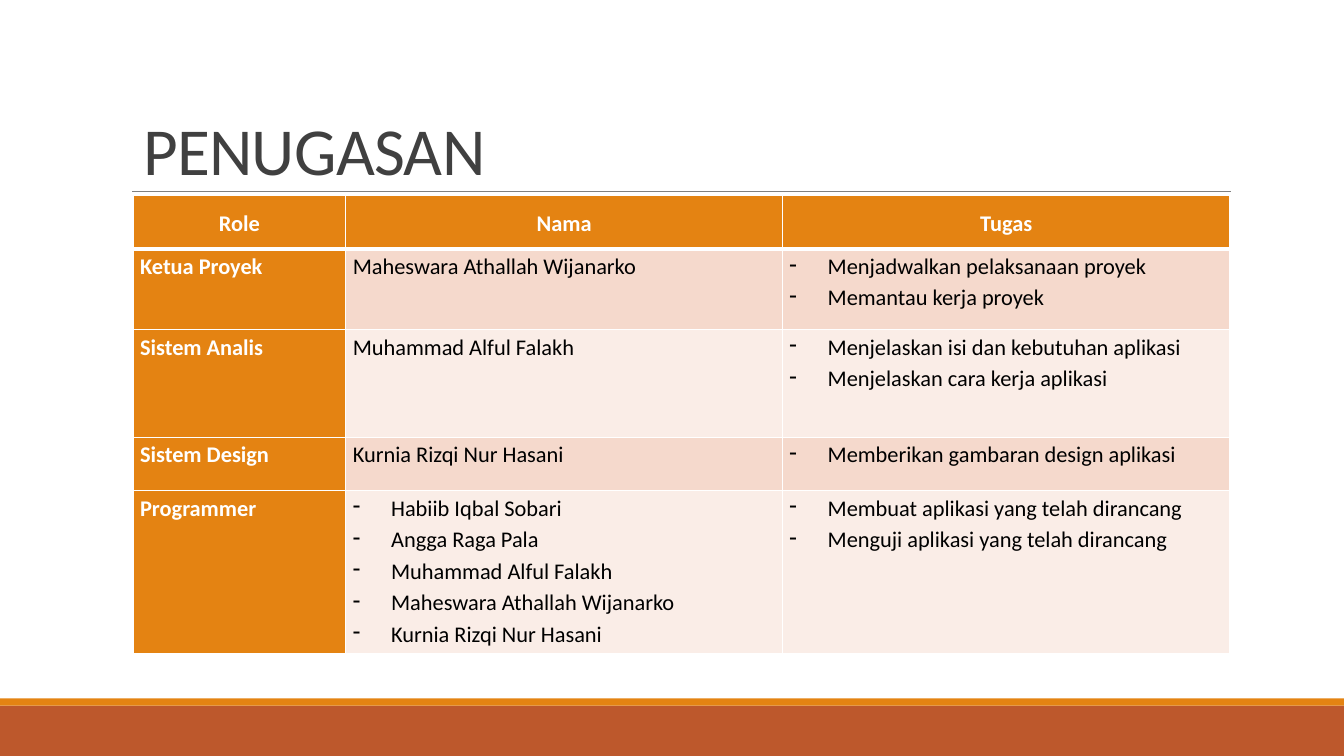
from dataclasses import dataclass

from lxml import etree
from pptx import Presentation
from pptx.dml.color import RGBColor
from pptx.enum.shapes import MSO_CONNECTOR, MSO_SHAPE
from pptx.enum.text import MSO_ANCHOR, MSO_AUTO_SIZE, PP_ALIGN
from pptx.oxml.ns import qn
from pptx.util import Inches, Pt

RECTANGLE = MSO_SHAPE.RECTANGLE
STRAIGHT = MSO_CONNECTOR.STRAIGHT
TOP, MIDDLE, BOTTOM = MSO_ANCHOR.TOP, MSO_ANCHOR.MIDDLE, MSO_ANCHOR.BOTTOM
LEFT, CENTER, JUSTIFY = PP_ALIGN.LEFT, PP_ALIGN.CENTER, PP_ALIGN.JUSTIFY
NO_AUTOFIT = MSO_AUTO_SIZE.NONE


@dataclass(frozen=True)
class Theme:
    font: str = "Calibri"
    title_size: int = 48
    table_size: int = 16
    title: str = "404040"
    rule: str = "808080"
    orange: str = "E48312"
    rust: str = "BD582C"
    white: str = "FFFFFF"
    black: str = "000000"
    bands: tuple = ("F5D9CC", "FAEDE7")


THEME = Theme()
SLIDE_WIDTH, SLIDE_HEIGHT = 13.33, 7.5
NAME_COLUMN = 1
COLUMN_WIDTHS = (2.11, 4.33, 4.44)
ROW_HEIGHTS = (0.53, 0.8, 1.07, 0.53, 1.61)
HEADINGS = ("Role", "Nama", "Tugas")
ASSIGNMENTS = (
    ("Ketua Proyek", "Maheswara Athallah Wijanarko",
     ["Menjadwalkan pelaksanaan proyek", "Memantau kerja proyek"]),
    ("Sistem Analis", "Muhammad Alful Falakh",
     ["Menjelaskan isi dan kebutuhan aplikasi", "Menjelaskan cara kerja aplikasi"]),
    ("Sistem Design", "Kurnia Rizqi Nur Hasani",
     ["Memberikan gambaran design aplikasi"]),
    ("Programmer",
     ["Habiib Iqbal Sobari", "Angga Raga Pala", "Muhammad Alful Falakh",
      "Maheswara Athallah Wijanarko", "Kurnia Rizqi Nur Hasani"],
     ["Membuat aplikasi yang telah dirancang", "Menguji aplikasi yang telah dirancang"]),
)


def rgb(value):
    return RGBColor.from_string(value)


def style_font(font, size, color, bold=False):
    font.name = THEME.font
    font.size = Pt(size)
    font.bold = bold
    font.color.rgb = rgb(color)


def add_band(slide, left, top, width, height, color):
    band = slide.shapes.add_shape(
        RECTANGLE, Inches(left), Inches(top), Inches(width), Inches(height))
    band.shadow.inherit = False
    band.fill.solid()
    band.fill.fore_color.rgb = rgb(color)
    band.line.fill.background()


def add_footer(slide, left, top, width, height):
    stripe = 0.07
    add_band(slide, left, top + stripe, width, height - stripe, THEME.rust)
    add_band(slide, left, top, width, stripe, THEME.orange)


def add_title(slide, left, top, width, height):
    rule_top = top + 0.87
    rule = slide.shapes.add_connector(
        STRAIGHT, Inches(left - 0.01), Inches(rule_top),
        Inches(left + width + 0.01), Inches(rule_top))
    rule.line.color.rgb = rgb(THEME.rule)
    rule.line.width = Pt(0.5)
    etree.SubElement(rule._element.spPr, qn("a:effectLst"))

    title = slide.shapes.title
    title.left, title.top = Inches(left), Inches(top)
    title.width, title.height = Inches(width), Inches(height)
    frame = title.text_frame
    frame.text = "PENUGASAN"
    frame.word_wrap = True
    frame.auto_size = NO_AUTOFIT
    frame.vertical_anchor = BOTTOM
    paragraph = frame.paragraphs[0]
    paragraph.alignment = LEFT
    paragraph.line_spacing = 0.85
    font = paragraph.runs[0].font
    style_font(font, THEME.title_size, THEME.title)
    font._element.set("spc", "-50")


def set_borders(cell, bottom_width):
    properties = cell._tc.get_or_add_tcPr()
    for side, width in (("L", 1), ("R", 1), ("T", 1), ("B", bottom_width)):
        border = etree.SubElement(properties, qn(f"a:ln{side}"), w=str(Pt(width)))
        fill = etree.SubElement(border, qn("a:solidFill"))
        etree.SubElement(fill, qn("a:srgbClr"), val=THEME.white)


def add_dash(paragraph):
    properties = paragraph._p.get_or_add_pPr()
    properties.set("marL", str(Inches(0.38)))
    properties.set("indent", str(Inches(-0.38)))
    etree.SubElement(properties, qn("a:buFontTx"))
    etree.SubElement(properties, qn("a:buChar"), char="-")


def fill_cell(cell, content, row, column):
    is_heading = row == 0
    is_accent = is_heading or column == 0
    is_list = isinstance(content, list)
    lines = content if is_list else [content]
    set_borders(cell, 3 if is_heading else 1)
    cell.fill.solid()
    cell.fill.fore_color.rgb = rgb(THEME.orange if is_accent else THEME.bands[(row - 1) % 2])
    cell.margin_left = cell.margin_right = Inches(0.07)
    cell.margin_top = cell.margin_bottom = 0
    cell.vertical_anchor = MIDDLE if is_heading else TOP

    cell.text_frame.text = "\n".join(lines)
    for number, paragraph in enumerate(cell.text_frame.paragraphs, 1):
        closes_cell = number == len(lines) and not (is_list and column == NAME_COLUMN)
        paragraph.alignment = CENTER if is_heading else JUSTIFY
        paragraph.line_spacing = 1.15
        paragraph.space_after = Pt(8 if closes_cell else 0)
        if is_list:
            add_dash(paragraph)
        style_font(paragraph.runs[0].font, THEME.table_size,
                   THEME.white if is_accent else THEME.black, is_accent)


def add_assignment_table(slide, left, top, width, height):
    rows = (HEADINGS, *ASSIGNMENTS)
    table = slide.shapes.add_table(
        len(rows), len(HEADINGS), Inches(left), Inches(top),
        Inches(width), Inches(height)).table
    for column, column_width in zip(table.columns, COLUMN_WIDTHS):
        column.width = Inches(column_width)
    for row, row_height in zip(table.rows, ROW_HEIGHTS):
        row.height = Inches(row_height)
    for row, contents in enumerate(rows):
        for column, content in enumerate(contents):
            fill_cell(table.cell(row, column), content, row, column)


def main():
    presentation = Presentation()
    presentation.slide_width = Inches(SLIDE_WIDTH)
    presentation.slide_height = Inches(SLIDE_HEIGHT)
    slide = presentation.slides.add_slide(presentation.slide_layouts[5])
    slide.background.fill.solid()
    slide.background.fill.fore_color.rgb = rgb(THEME.white)
    left, width = 1.32, sum(COLUMN_WIDTHS)
    add_footer(slide, 0, 6.93, SLIDE_WIDTH, 0.57)
    add_title(slide, left, 1.03, width, 0.9)
    add_assignment_table(slide, left, 1.94, width, sum(ROW_HEIGHTS))
    presentation.save("out.pptx")


if __name__ == "__main__":
    main()
